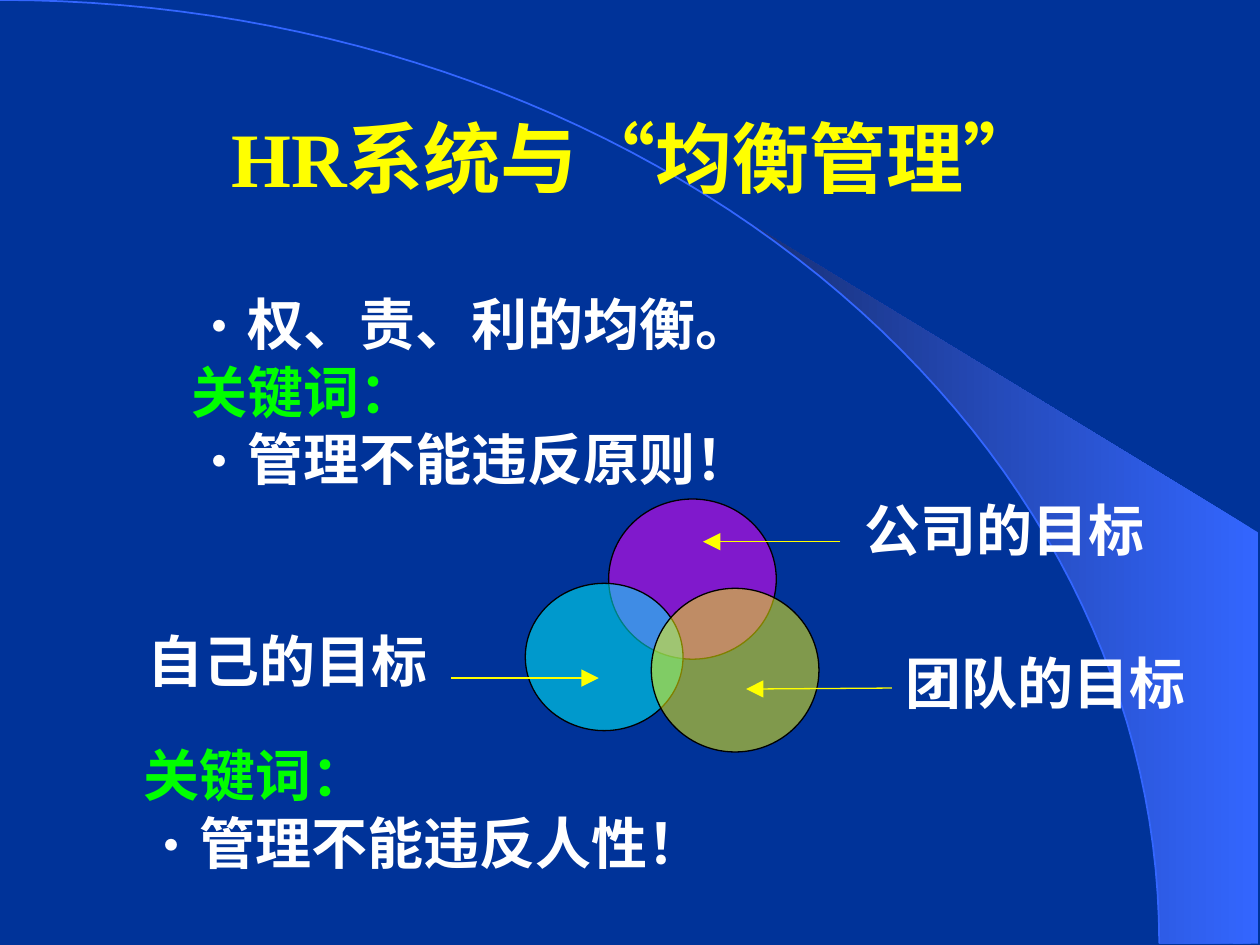
import math
from lxml import etree
from pptx import Presentation, util as u
from pptx.dml.color import RGBColor
from pptx.enum import shapes, text
from pptx.oxml import ns

SANS, SERIF = "Noto Sans CJK SC", "Times New Roman"
WHITE, GREEN, YELLOW, BLUE = "FFFFFF", "00FF00", "FFFF00", "3366FF"
WIDE, HIGH = 25.4, 19.05
ARC_W, ARC_H = 23.37, 19.02


def shade(code):
    return RGBColor.from_string(code)


def sub(node, tag, **attrs):
    return etree.SubElement(node, ns.qn(tag), attrs)


def curve(start, steps=60):
    angles = [math.radians(start + (90 - start) * i / steps) for i in range(steps + 1)]
    return [(ARC_W * math.sin(a), ARC_H * (1 - math.cos(a))) for a in angles]


class Deck:
    """Holds the style and the current slide, and draws each kind of element."""

    def __init__(self, back):
        self.file = Presentation()
        self.file.slide_width, self.file.slide_height = u.Cm(WIDE), u.Cm(HIGH)
        self.slide = self.file.slides.add_slide(self.file.slide_layouts[6])
        self.items = self.slide.shapes
        fill = self.slide.background.fill
        fill.solid()
        fill.fore_color.rgb = shade(back)

    def outline(self, points, closed):
        first, *rest = [(u.Cm(x), u.Cm(y)) for x, y in points]
        pen = self.items.build_freeform(*first)
        pen.add_line_segments(rest, close=closed)
        form = pen.convert_to_shape()
        form.shadow.inherit = False
        return form

    def beam(self, points, near, far):
        form = self.outline(points, True)
        form.line.fill.background()
        form.fill.gradient()
        form.fill.gradient_angle = 180
        for stop, place, code in zip(form.fill.gradient_stops, (0, 1), (near, far)):
            stop.position, stop.color.rgb = place, shade(code)

    def arc(self, points, code):
        form = self.outline(points, False)
        form.fill.background()
        form.line.color.rgb, form.line.width = shade(code), u.Pt(1)

    def disc(self, box, code):
        form = self.items.add_shape(shapes.MSO_SHAPE.OVAL, *map(u.Cm, box))
        form.shadow.inherit = False
        form.fill.solid()
        form.fill.fore_color.rgb = shade(code)
        tint = form.fill._xPr.find(ns.qn("a:solidFill"))[0]
        sub(tint, "a:alpha", val="50000")
        form.line.color.rgb, form.line.width = shade("000000"), u.Pt(0.75)

    def arrow(self, *ends):
        link = self.items.add_connector(shapes.MSO_CONNECTOR.STRAIGHT, *map(u.Cm, ends))
        link.line.color.rgb, link.line.width = shade(YELLOW), u.Pt(0.75)
        sub(link.line._get_or_add_ln(), "a:tailEnd", type="triangle", w="lg", len="lg")
        sub(link._element.spPr, "a:effectLst")

    def frame(self, box, wrap):
        area = self.items.add_textbox(*map(u.Cm, box)).text_frame
        area.word_wrap = wrap
        area.auto_size = text.MSO_AUTO_SIZE.SHAPE_TO_FIT_TEXT
        return area

    def style(self, para, size, code, face=None):
        font = para.font
        font.size, font.bold, font.color.rgb = u.Pt(size), True, shade(code)
        if face:
            font.name = face
        sub(font._element, "a:ea", typeface=SANS)

    def title(self, box, parts):
        para = self.frame(box, True).paragraphs[0]
        para.alignment = text.PP_ALIGN.CENTER
        self.style(para, 44, YELLOW)
        for words, face in parts:
            run = para.add_run()
            run.text, run.font.name = words, face

    def words(self, box, lines, wrap=False):
        area = self.frame(box, wrap)
        for i, (line, code, dot) in enumerate(lines):
            para = area.add_paragraph() if i else area.paragraphs[0]
            para.text = line
            if dot:
                props = para._p.get_or_add_pPr()
                sub(sub(props, "a:buClr"), "a:srgbClr", val=WHITE)
                sub(props, "a:buFont", typeface=SANS)
                sub(props, "a:buChar", char="•")
            self.style(para, 32, code, SANS)

    def save(self):
        self.file.save("out.pptx")


def main():
    deck = Deck("003399")
    edge = 25.37
    deck.beam(curve(39.8) + [(edge, ARC_H), (edge, 10.74)], BLUE, "172F75")
    deck.arc(curve(0), BLUE)
    deck.title((3.61, 2.11, 18.42, 2.13), [("HR系统与", SERIF), ("“均衡管理”", SANS)])

    for box, code in [
        ((12.27, 10.06, 3.38, 3.23), "FF00FF"),
        ((10.59, 11.76, 3.18, 2.97), "00FFFF"),
        ((13.13, 11.86, 3.38, 3.3), YELLOW),
    ]:
        deck.disc(box, code)
    deck.arrow(17.98, 13.87, 15.04, 13.89)
    deck.arrow(16.94, 10.92, 14.17, 10.92)

    deck.words((3.61, 5.72, 14.81, 6.38), [
        ("权、责、利的均衡。", WHITE, True),
        ("关键词：", GREEN, False),
        ("管理不能违反原则！", WHITE, True),
    ], wrap=True)
    for left, top, label in [
        (2.72, 12.5, "自己的目标"),
        (17.17, 9.86, "公司的目标"),
        (18.01, 12.95, "团队的目标"),
    ]:
        deck.words((left, top, 6.2, 1.63), [(label, WHITE, False)])
    deck.arrow(9.09, 13.67, 12.07, 13.67)
    deck.words((2.64, 14.81, 11.35, 2.97), [
        ("关键词：", GREEN, False),
        ("管理不能违反人性！", WHITE, True),
    ])
    deck.save()


if __name__ == "__main__":
    main()
